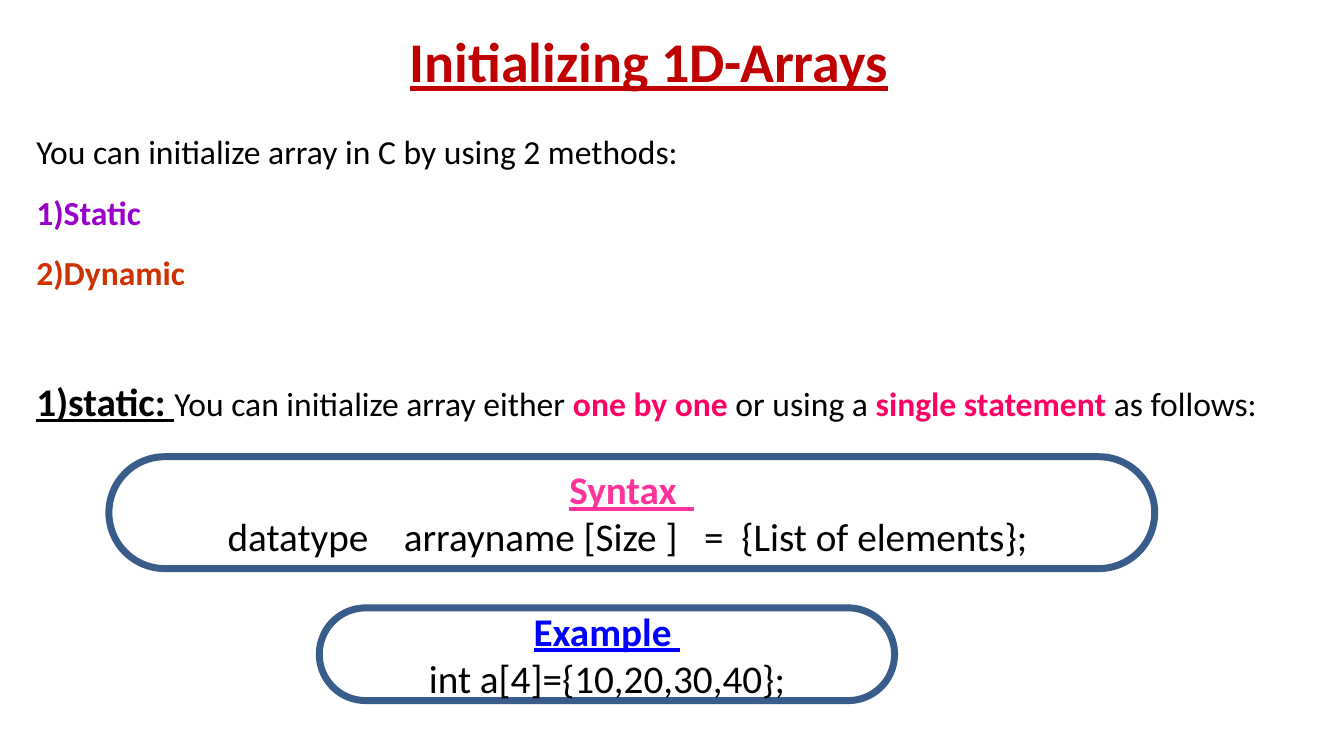
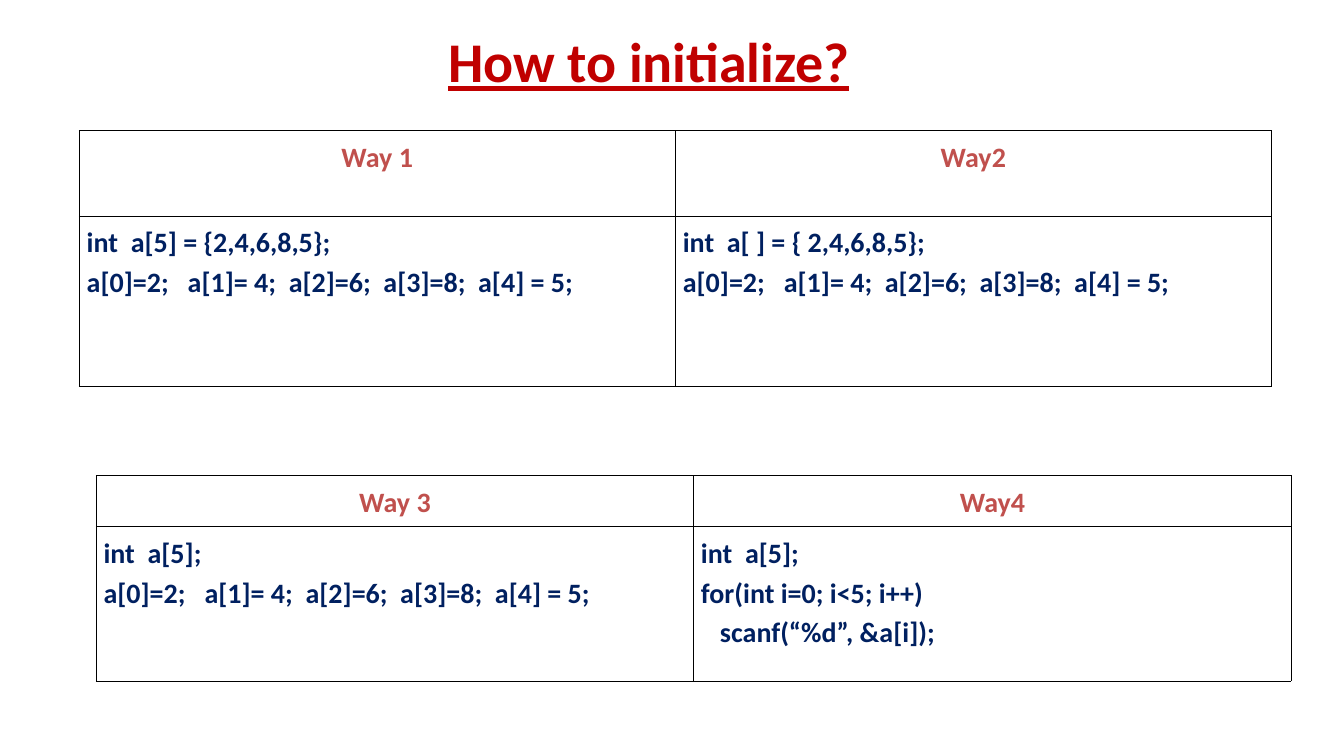
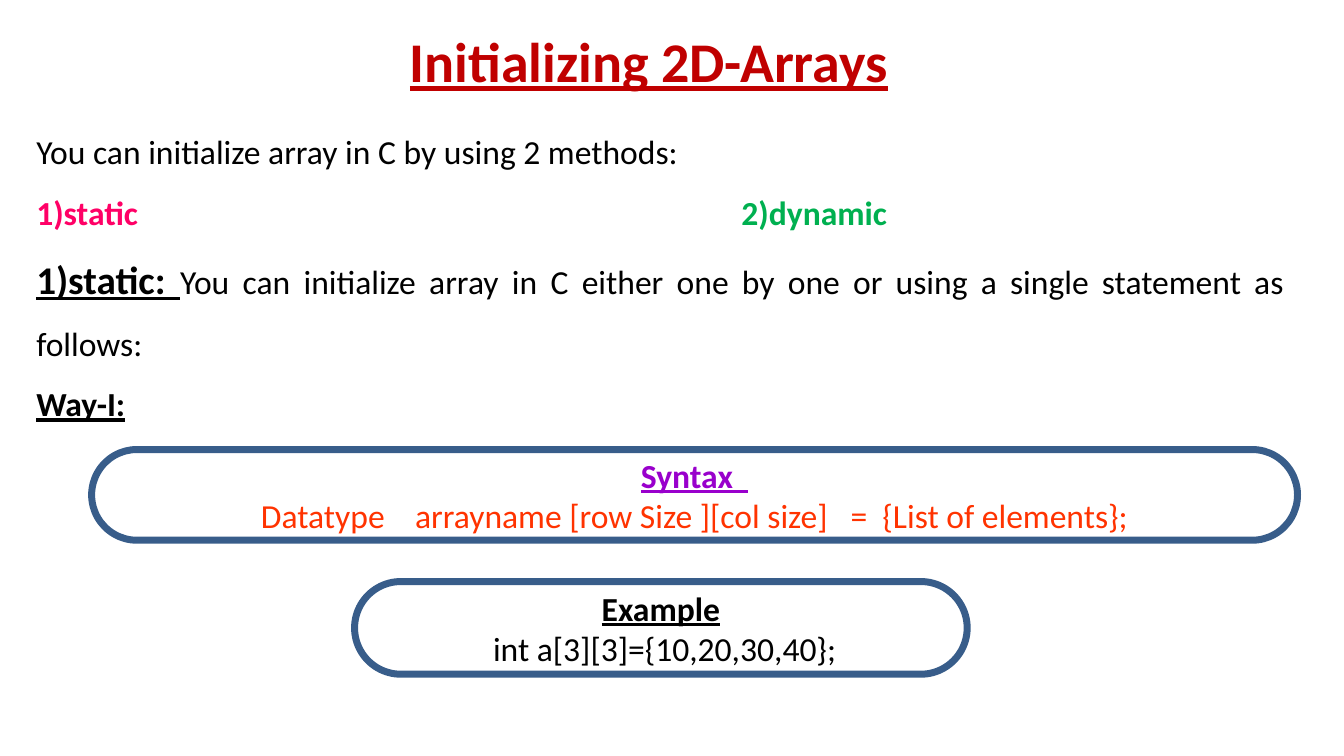
from dataclasses import dataclass
from typing import Optional

from lxml.etree import SubElement
from pptx import Presentation
from pptx.dml.color import RGBColor
from pptx.enum.shapes import MSO_SHAPE
from pptx.enum.text import MSO_ANCHOR, MSO_AUTO_SIZE, PP_ALIGN
from pptx.oxml.ns import qn
from pptx.util import Pt


@dataclass(frozen=True)
class Theme:
    font: str = "Calibri"
    title_size: int = 40
    heading_size: int = 28
    body_size: int = 24
    table_size: int = 20
    outline_width: float = 5
    grid_width: float = 0.45
    black: str = "000000"
    title: str = "C00000"
    outline: str = "385D8A"
    purple: str = "9900CC"
    rust: str = "CC3300"
    rose: str = "FF0066"
    pink: str = "FF3399"
    blue: str = "0000FF"
    green: str = "00B050"
    orange: str = "FF3300"
    table_heading: str = "C0504D"
    code: str = "002060"


THEME = Theme()


@dataclass(frozen=True)
class Box:
    left: float
    top: float
    width: float
    height: float

    def lengths(self):
        return Pt(self.left), Pt(self.top), Pt(self.width), Pt(self.height)


@dataclass(frozen=True)
class TextRun:
    text: str
    color: str = THEME.black
    bold: bool = False
    underline: bool = False
    size: int = THEME.body_size


@dataclass(frozen=True)
class BodyLine:
    runs: tuple
    number_color: Optional[str] = None
    tab_stop: float = 0
    space_before: float = 0


SLIDE_WIDTH, SLIDE_HEIGHT = 960.48, 540
TITLE_BOX = Box(31.7, 14.4, 864, 57.6)
BODY_BOX = Box(18.7, 75.6, 906.5, 250)
TITLE_AND_BODY, TITLE_ONLY = 1, 5


def write_paragraph(paragraph, runs, alignment, line_spacing=1.0):
    paragraph.alignment = alignment
    paragraph.line_spacing = line_spacing
    paragraph.space_before = paragraph.space_after = Pt(0)
    for text_run in runs:
        run = paragraph.add_run()
        run.text = text_run.text
        font = run.font
        font.name = THEME.font
        font.size = Pt(text_run.size)
        font.bold = text_run.bold
        font.underline = text_run.underline
        font.color.rgb = RGBColor.from_string(text_run.color)


def paragraphs_for(text_frame, items):
    """Yield each item with its own paragraph, starting with the existing one."""
    for index, item in enumerate(items):
        first = index == 0
        yield (text_frame.paragraphs[0] if first else text_frame.add_paragraph()), item


def place(shape, box):
    shape.left, shape.top, shape.width, shape.height = box.lengths()


def set_list_format(paragraph, line):
    """Number the line or remove its bullet, and add its tab stop."""
    properties = paragraph._p.get_or_add_pPr()
    properties.set("marL", "0")
    properties.set("indent", "0")
    if line.number_color:
        bullet_color = SubElement(properties, qn("a:buClr"))
        SubElement(bullet_color, qn("a:srgbClr"), val=line.number_color)
        SubElement(properties, qn("a:buFont"), typeface=THEME.font)
        SubElement(properties, qn("a:buAutoNum"), type="arabicParenR")
    else:
        SubElement(properties, qn("a:buNone"))
    if line.tab_stop:
        tabs = SubElement(properties, qn("a:tabLst"))
        SubElement(tabs, qn("a:tab"), pos=str(Pt(line.tab_stop)), algn="l")


def add_titled_slide(presentation, layout_index, title):
    slide = presentation.slides.add_slide(presentation.slide_layouts[layout_index])
    shape = slide.shapes.title
    place(shape, TITLE_BOX)
    text_frame = shape.text_frame
    text_frame.auto_size = MSO_AUTO_SIZE.NONE
    text_frame.vertical_anchor = MSO_ANCHOR.MIDDLE
    title_run = TextRun(title, THEME.title, True, True, THEME.title_size)
    write_paragraph(text_frame.paragraphs[0], [title_run], PP_ALIGN.CENTER)
    return slide


def fill_body(slide, box, lines):
    shape = slide.placeholders[1]
    place(shape, box)
    text_frame = shape.text_frame
    text_frame.auto_size = MSO_AUTO_SIZE.NONE
    text_frame.vertical_anchor = MSO_ANCHOR.TOP
    for paragraph, line in paragraphs_for(text_frame, lines):
        write_paragraph(paragraph, line.runs, PP_ALIGN.JUSTIFY, 1.5)
        paragraph.space_before = Pt(line.space_before)
        set_list_format(paragraph, line)


def add_code_capsule(slide, box, heading, code):
    shape = slide.shapes.add_shape(MSO_SHAPE.ROUNDED_RECTANGLE, *box.lengths())
    shape.adjustments[0] = 0.5
    shape.shadow.inherit = False
    shape.fill.background()
    shape.line.color.rgb = RGBColor.from_string(THEME.outline)
    shape.line.width = Pt(THEME.outline_width)
    text_frame = shape.text_frame
    text_frame.word_wrap = True
    text_frame.vertical_anchor = MSO_ANCHOR.MIDDLE
    for paragraph, run in paragraphs_for(text_frame, (heading, code)):
        write_paragraph(paragraph, [run], PP_ALIGN.CENTER)


def set_cell_borders(cell):
    properties = cell._tc.get_or_add_tcPr()
    for position, side in enumerate(("a:lnL", "a:lnR", "a:lnT", "a:lnB")):
        line = properties.makeelement(qn(side), {"w": str(Pt(THEME.grid_width))})
        fill = SubElement(line, qn("a:solidFill"))
        SubElement(fill, qn("a:srgbClr"), val=THEME.black)
        properties.insert(position, line)


def add_ways_table(slide, box, heading_height, ways, side_margin):
    """Add one column per way: its heading above its lines of code."""
    table = slide.shapes.add_table(2, len(ways), *box.lengths()).table
    table.first_row = table.horz_banding = False
    table.rows[0].height = Pt(heading_height)
    table.rows[1].height = Pt(box.height - heading_height)
    for column, (heading, code_lines) in enumerate(ways):
        table.columns[column].width = Pt(box.width / len(ways))
        contents = (
            ([heading], THEME.table_heading, PP_ALIGN.CENTER),
            (code_lines, THEME.code, PP_ALIGN.LEFT),
        )
        for row, (lines, color, alignment) in enumerate(contents):
            cell = table.cell(row, column)
            cell.fill.background()
            cell.margin_left = cell.margin_right = Pt(side_margin)
            set_cell_borders(cell)
            for paragraph, text in paragraphs_for(cell.text_frame, lines):
                run = TextRun(text, color, bold=True, size=THEME.table_size)
                write_paragraph(paragraph, [run], alignment, 1.15)


INTRODUCTION = BodyLine((TextRun("You can initialize array in C by using 2 methods:"),))
STATIC_LABEL = TextRun("1)static: ", bold=True, underline=True, size=THEME.heading_size)


def build_one_dimensional(presentation):
    slide = add_titled_slide(presentation, TITLE_AND_BODY, "Initializing 1D-Arrays")
    fill_body(slide, BODY_BOX, (
        INTRODUCTION,
        BodyLine((TextRun("Static ", THEME.purple, True),), THEME.purple),
        BodyLine((TextRun("Dynamic", THEME.rust, True),), THEME.rust),
        BodyLine((
            STATIC_LABEL,
            TextRun("You can initialize array either "),
            TextRun("one by one ", THEME.rose, True),
            TextRun("or using a "),
            TextRun("single statement ", THEME.rose, True),
            TextRun("as follows: "),
        ), space_before=44),
    ))
    size = THEME.heading_size
    add_code_capsule(
        slide, Box(77.8, 326.2, 747.4, 79.9),
        TextRun("Syntax  ", THEME.pink, True, True, size),
        TextRun("datatype    arrayname [Size ]   =  {List of elements}; ", size=size),
    )
    add_code_capsule(
        slide, Box(228.2, 434.2, 411.1, 66.2),
        TextRun("Example ", THEME.blue, True, True, size),
        TextRun("int a[4]={10,20,30,40};", size=size),
    )


def build_ways(presentation):
    slide = add_titled_slide(presentation, TITLE_ONLY, "How to initialize?")
    assignments = "a[0]=2;   a[1]= 4;  a[2]=6;  a[3]=8;  a[4] = 5;"
    add_ways_table(slide, Box(56.6, 93.2, 852, 183), 61, (
        ("Way 1", ("int  a[5] = {2,4,6,8,5};", assignments)),
        ("Way2", ("int  a[ ] = { 2,4,6,8,5};", assignments)),
    ), 5.4)
    add_ways_table(slide, Box(68.8, 339.6, 854, 147), 36.7, (
        ("Way 3", ("int  a[5];", assignments)),
        ("Way4", ("int  a[5];", "for(int i=0; i<5; i++)", "   scanf(“%d”, &a[i]);")),
    ), 5.2)


def build_two_dimensional(presentation):
    slide = add_titled_slide(presentation, TITLE_AND_BODY, "Initializing 2D-Arrays")
    fill_body(slide, BODY_BOX, (
        INTRODUCTION,
        BodyLine((
            TextRun("static\t", THEME.rose, True),
            TextRun("2)dynamic", THEME.green, True),
        ), THEME.rose, tab_stop=504),
        BodyLine((
            STATIC_LABEL,
            TextRun("You can initialize array in C either one by one or using "
                    "a single statement as follows: "),
        )),
        BodyLine((TextRun("Way-I:", bold=True, underline=True),)),
    ))
    add_code_capsule(
        slide, Box(65.5, 321.1, 861.8, 64.8),
        TextRun("Syntax  ", THEME.purple, True, True),
        TextRun(" Datatype    arrayname [row Size ][col size]   =  {List of elements}; ",
                THEME.orange),
    )
    add_code_capsule(
        slide, Box(253.4, 415.4, 437.8, 66.2),
        TextRun("Example", bold=True, underline=True),
        TextRun(" int a[3][3]={10,20,30,40};"),
    )


def main():
    presentation = Presentation()
    presentation.slide_width = Pt(SLIDE_WIDTH)
    presentation.slide_height = Pt(SLIDE_HEIGHT)
    build_one_dimensional(presentation)
    build_ways(presentation)
    build_two_dimensional(presentation)
    presentation.save("out.pptx")


if __name__ == "__main__":
    main()
